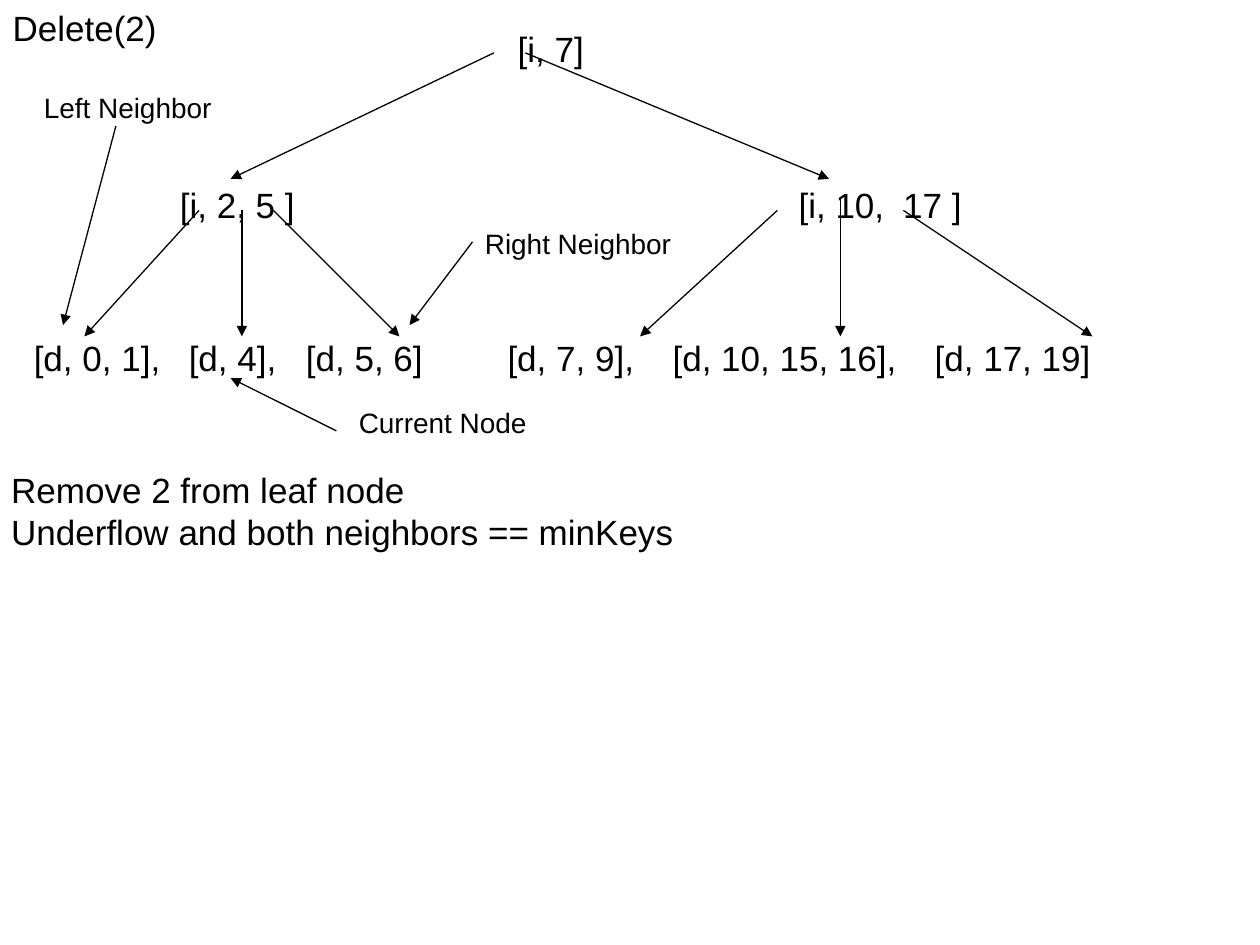
import dataclasses

import lxml.etree
import pptx
import pptx.dml.color
import pptx.enum.shapes
import pptx.enum.text
import pptx.oxml.ns
import pptx.util

Inches = pptx.util.Inches
Pt = pptx.util.Pt
qn = pptx.oxml.ns.qn


@dataclasses.dataclass(frozen=True)
class Theme:
    font: str = "Arial"
    ink: str = "000000"
    body_size: float = 20
    label_size: float = 16
    line_width: float = 0.75


def write_text(para, text, *, theme, size, space_before=0, tabs=()):
    if tabs:
        tab_list = lxml.etree.SubElement(para._p.get_or_add_pPr(), qn("a:tabLst"))
        for stop in tabs:
            lxml.etree.SubElement(tab_list, qn("a:tab"), pos=str(Inches(stop)), algn="l")
    para.alignment = pptx.enum.text.PP_ALIGN.LEFT
    para.space_before = Pt(space_before)
    span = para.add_run()
    span.text = text
    span.font.name = theme.font
    span.font.size = Pt(size)
    span.font.color.rgb = pptx.dml.color.RGBColor.from_string(theme.ink)


class TreePage:
    """Draws styled text and arrows on one page."""

    def __init__(self, page, theme):
        self.page = page
        self.theme = theme

    def fill_box(self, box, lines, place, size):
        box.left, box.top, box.width, box.height = map(Inches, place)
        frame = box.text_frame
        frame.word_wrap = False
        frame.auto_size = pptx.enum.text.MSO_AUTO_SIZE.SHAPE_TO_FIT_TEXT
        frame.vertical_anchor = pptx.enum.text.MSO_ANCHOR.TOP
        for index, line in enumerate(lines):
            para = frame.add_paragraph() if index else frame.paragraphs[0]
            write_text(para, line, theme=self.theme, size=size)

    def title(self, text, place):
        self.fill_box(self.page.shapes.title, [text], place, self.theme.body_size)

    def label(self, lines, place, size):
        box = self.page.shapes.add_textbox(*map(Inches, place))
        self.fill_box(box, lines, place, size)

    def tree(self, levels, place, margin_top):
        box = self.page.shapes.add_textbox(*map(Inches, place))
        frame = box.text_frame
        frame.word_wrap = True
        frame.margin_top = Inches(margin_top)
        for index, (text, tabs, space_before) in enumerate(levels):
            para = frame.add_paragraph() if index else frame.paragraphs[0]
            write_text(para, text, theme=self.theme, size=self.theme.body_size,
                       space_before=space_before, tabs=tabs)

    def arrow(self, start, end):
        line = self.page.shapes.add_connector(
            pptx.enum.shapes.MSO_CONNECTOR.STRAIGHT, *map(Inches, start + end))
        line.line.color.rgb = pptx.dml.color.RGBColor.from_string(self.theme.ink)
        line.line.width = Pt(self.theme.line_width)
        lxml.etree.SubElement(line.line._get_or_add_ln(), qn("a:tailEnd"), type="triangle")
        lxml.etree.SubElement(line._element.spPr, qn("a:effectLst"))


LEVELS = [
    ("\t[i, 7]", [3.84], 0),
    ("\t[i, 2, 5 ]\t[i, 10,\t17 ]", [1.16, 6.07, 6.9], 65),
    ("[d, 0, 1],\t[d, 4],\t[d, 5, 6]\t[d, 7, 9],\t[d, 10, 15, 16],\t[d, 17, 19]",
     [1.23, 2.16, 3.76, 5.07, 7.15], 63.5),
]

CHILD_ARROWS = [
    ((3.92, 0.42), (1.83, 1.42)),
    ((4.17, 0.42), (6.58, 1.42)),
    ((1.58, 1.67), (0.67, 2.67)),
    ((1.92, 1.67), (1.92, 2.67)),
    ((2.17, 1.67), (3.17, 2.67)),
    ((6.17, 1.67), (5.08, 2.67)),
    ((6.67, 1.58), (6.67, 2.67)),
    ((7.17, 1.67), (8.67, 2.67)),
]

POINTERS = [
    ("Current Node", (2.75, 3.17, 1.53, 0.37), (2.67, 3.42), (1.83, 3)),
    ("Left Neighbor", (0.25, 0.67, 1.53, 0.37), (0.92, 1), (0.5, 2.58)),
    ("Right Neighbor", (3.75, 1.75, 1.68, 0.37), (3.75, 1.92), (3.25, 2.58)),
]

STEPS = ["Remove 2 from leaf node", "Underflow and both neighbors == minKeys"]


def main():
    deck = pptx.Presentation()
    deck.slide_width, deck.slide_height = Inches(10), Inches(7.5)
    theme = Theme()
    page = TreePage(deck.slides.add_slide(deck.slide_layouts[5]), theme)

    page.title("Delete(2)", (0, 0, 1.5, 0.44))
    page.tree(LEVELS, (0.17, 0, 9.83, 3.5), margin_top=0.22)
    for start, end in CHILD_ARROWS:
        page.arrow(start, end)
    page.label(STEPS, (-0.01, 3.67, 5.46, 0.77), theme.body_size)
    for text, place, start, end in POINTERS:
        page.label([text], place, theme.label_size)
        page.arrow(start, end)

    deck.save("out.pptx")


if __name__ == "__main__":
    main()
